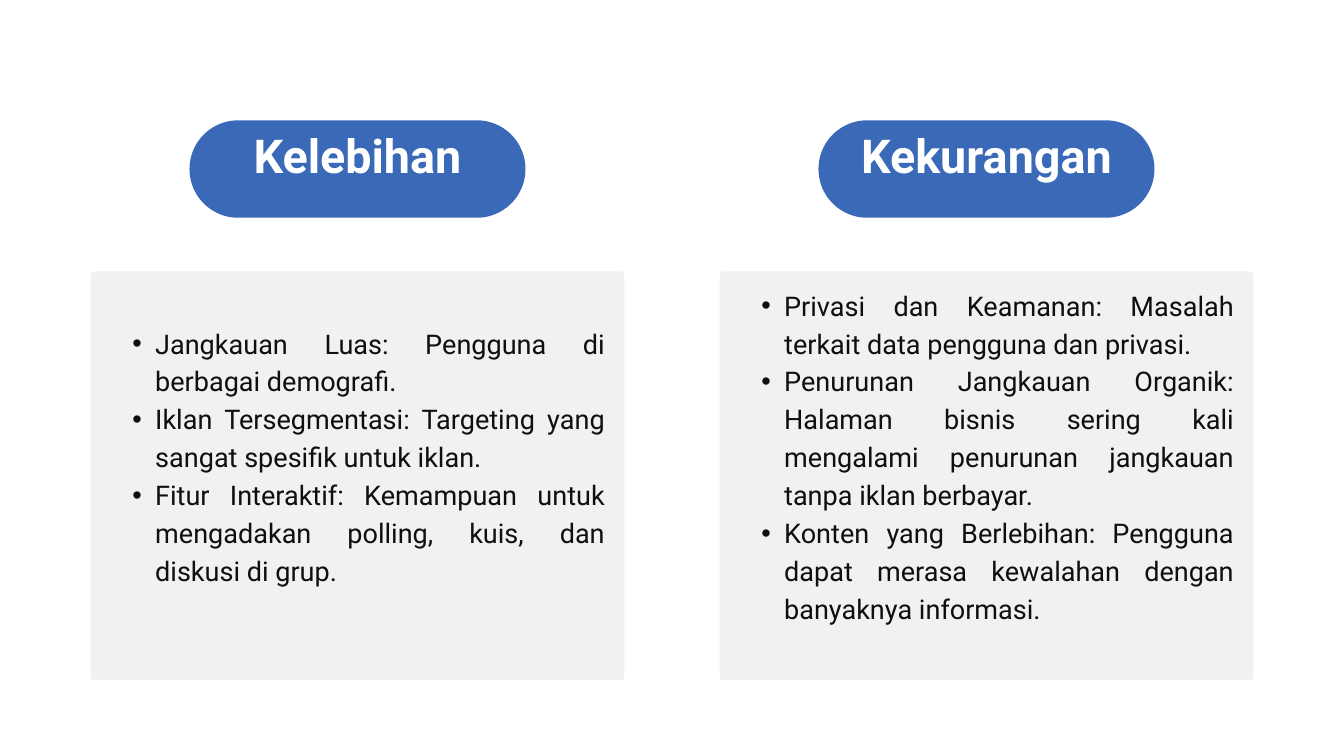
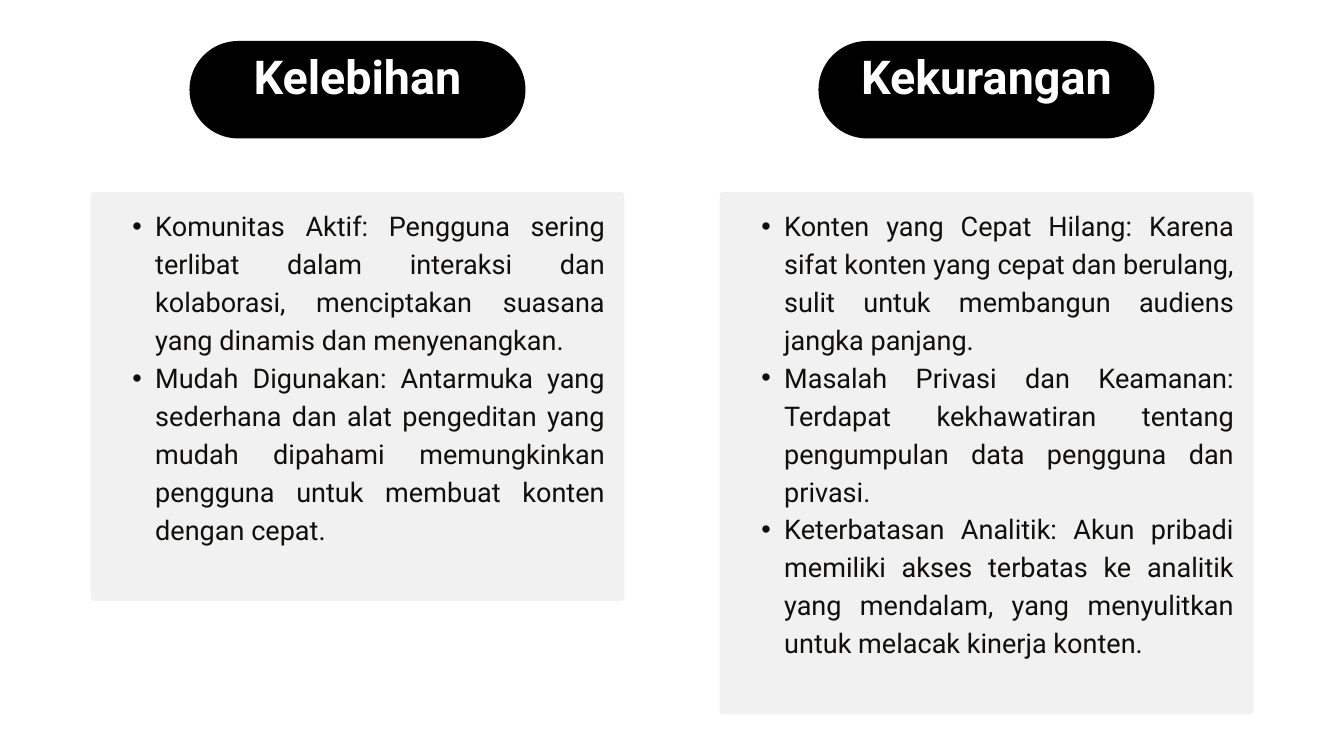
from lxml import etree
from pptx import Presentation
from pptx.dml.color import RGBColor
from pptx.enum.shapes import MSO_SHAPE
from pptx.enum.text import MSO_ANCHOR, PP_ALIGN
from pptx.oxml.ns import qn
from pptx.util import Inches, Pt

ROUNDED = MSO_SHAPE.ROUNDED_RECTANGLE
MIDDLE = MSO_ANCHOR.MIDDLE
CENTER, JUSTIFY = PP_ALIGN.CENTER, PP_ALIGN.JUSTIFY

FONT = "Roboto"
WHITE, INK, CARD_GREY = "FFFFFF", "100F0D", "F1F1F1"

SLIDES = [
    {
        "accent": "3A69B8",
        "top": 1.79,
        "columns": [
            ("Kelebihan", 6.08, [
                "Jangkauan Luas: Pengguna di berbagai demografi.",
                "Iklan Tersegmentasi: Targeting yang sangat spesifik untuk iklan.",
                "Fitur Interaktif: Kemampuan untuk mengadakan polling, kuis, "
                "dan diskusi di grup.",
            ]),
            ("Kekurangan", 6.08, [
                "Privasi dan Keamanan: Masalah terkait data pengguna dan privasi.",
                "Penurunan Jangkauan Organik: Halaman bisnis sering kali "
                "mengalami penurunan jangkauan tanpa iklan berbayar.",
                "Konten yang Berlebihan: Pengguna dapat merasa kewalahan "
                "dengan banyaknya informasi.",
            ]),
        ],
    },
    {
        "accent": "000000",
        "top": 0.61,
        "columns": [
            ("Kelebihan", 6.08, [
                "Komunitas Aktif: Pengguna sering terlibat dalam interaksi dan "
                "kolaborasi, menciptakan suasana yang dinamis dan menyenangkan.",
                "Mudah Digunakan: Antarmuka yang sederhana dan alat pengeditan "
                "yang mudah dipahami memungkinkan pengguna untuk membuat konten "
                "dengan cepat.",
            ]),
            ("Kekurangan", 7.77, [
                "Konten yang Cepat Hilang: Karena sifat konten yang cepat dan "
                "berulang, sulit untuk membangun audiens jangka panjang.",
                "Masalah Privasi dan Keamanan: Terdapat kekhawatiran tentang "
                "pengumpulan data pengguna dan privasi.",
                "Keterbatasan Analitik: Akun pribadi memiliki akses terbatas ke "
                "analitik yang mendalam, yang menyulitkan untuk melacak kinerja "
                "konten.",
            ]),
        ],
    },
]

SLIDE_W, SLIDE_H = 20, 11.25
MARGIN = 1.35
CARD_W = 7.94
CARD_DROP = 2.25
CARD_RADIUS = 0.05
CARD_RISE = 0.08
CARD_INSET = 0.28
CARD_FOOT = 0.84
PILL_W, PILL_H = 5, 1.45
PILL_RISE = 0.55
PILL_INSET = 0.06
HANG = 0.34


def color(hex_code):
    return RGBColor.from_string(hex_code)


def add_panel(page, left, top, width, height, radius, fill):
    panel = page.shapes.add_shape(
        ROUNDED, Inches(left), Inches(top), Inches(width), Inches(height))
    panel.adjustments[0] = radius / min(width, height)
    panel.shadow.inherit = False
    panel.fill.solid()
    panel.fill.fore_color.rgb = color(fill)
    panel.line.fill.background()


def add_frame(page, left, top, width, height, inset, foot):
    box = page.shapes.add_textbox(
        Inches(left), Inches(top), Inches(width), Inches(height))
    frame = box.text_frame
    frame.word_wrap = True
    frame.vertical_anchor = MIDDLE
    frame.margin_left = frame.margin_top = frame.margin_right = Inches(inset)
    frame.margin_bottom = Inches(foot)
    return frame


def write(para, text, size, hex_code, align, leading, bold=False):
    para.alignment = align
    para.line_spacing = Pt(leading)
    span = para.add_run()
    span.text = text
    span.font.name = FONT
    span.font.size = Pt(size)
    span.font.bold = bold
    span.font.color.rgb = color(hex_code)


def add_bullet(para):
    para.level = 1
    props = para._p.get_or_add_pPr()
    props.set("marL", str(Inches(2 * HANG)))
    props.set("indent", str(-Inches(HANG)))
    etree.SubElement(props, qn("a:buFont")).set("typeface", "Arial")
    etree.SubElement(props, qn("a:buChar")).set("char", "•")


def add_heading(page, center, top, text, accent):
    left = center - PILL_W / 2
    add_panel(page, left, top, PILL_W, PILL_H, PILL_H / 2, accent)
    frame = add_frame(page, left, top - PILL_RISE, PILL_W, PILL_H + PILL_RISE,
                      PILL_INSET, PILL_INSET)
    write(frame.paragraphs[0], text, 50, WHITE, CENTER, 70, bold=True)


def add_card(page, left, top, height, points):
    add_panel(page, left, top, CARD_W, height, CARD_RADIUS, CARD_GREY)
    frame = add_frame(page, left, top - CARD_RISE, CARD_W, height + CARD_RISE,
                      CARD_INSET, CARD_FOOT)
    for index, point in enumerate(points):
        para = frame.add_paragraph() if index else frame.paragraphs[0]
        write(para, point, 29, INK, JUSTIFY, 40.6)
        add_bullet(para)


def main():
    deck = Presentation()
    deck.slide_width, deck.slide_height = Inches(SLIDE_W), Inches(SLIDE_H)
    lefts = (MARGIN, SLIDE_W - MARGIN - CARD_W)
    for content in SLIDES:
        page = deck.slides.add_slide(deck.slide_layouts[6])
        top = content["top"]
        for left, (heading, height, points) in zip(lefts, content["columns"]):
            add_heading(page, left + CARD_W / 2, top, heading, content["accent"])
            add_card(page, left, top + CARD_DROP, height, points)
    deck.save("out.pptx")


if __name__ == "__main__":
    main()
